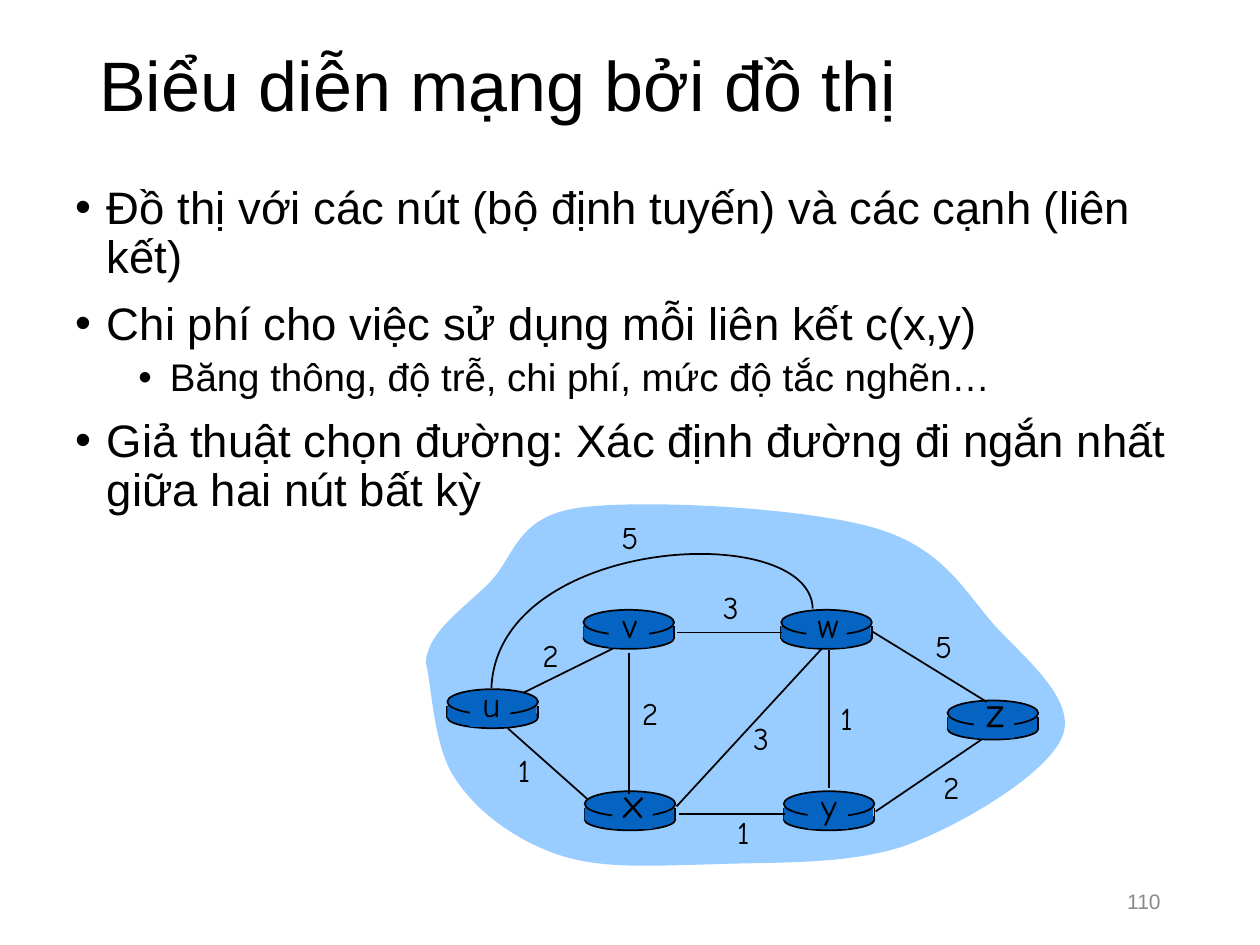
from dataclasses import dataclass

import lxml.etree
import pptx
import pptx.dml.color
import pptx.enum.shapes
import pptx.enum.text
import pptx.oxml.ns
import pptx.util

EMU_PER_PX = 9144

SHAPE = pptx.enum.shapes.MSO_SHAPE
ALIGN = pptx.enum.text.PP_ALIGN
ANCHOR = pptx.enum.text.MSO_ANCHOR
Point = tuple[int, int]


@dataclass(frozen=True)
class Theme:
    ink: str = "000000"
    muted: str = "898989"
    cloud: str = "99CCFF"
    router: str = "0563C1"
    text_font: str = "Arial"
    graph_font: str = "Comic Neue"
    title: int = 40
    bullets: tuple[int, int] = (26, 22)
    page: int = 12
    weight: int = 18
    line: int = 1


@dataclass(frozen=True)
class Bullet:
    text: str
    level: int = 0


@dataclass(frozen=True)
class Router:
    name: str
    left: int
    top: int
    name_center: int
    name_size: int = 20


@dataclass(frozen=True)
class Link:
    start: Point
    end: Point


@dataclass(frozen=True)
class Weight:
    value: int
    center: int
    top: int


THEME = Theme()
TITLE = "Biểu diễn mạng bởi đồ thị"
BULLETS = [
    Bullet("Đồ thị với các nút (bộ định tuyến) và các cạnh (liên kết)"),
    Bullet("Chi phí cho việc sử dụng mỗi liên kết c(x,y)"),
    Bullet("Băng thông, độ trễ, chi phí, mức độ tắc nghẽn…", 1),
    Bullet("Giả thuật chọn đường: Xác định đường đi ngắn nhất giữa hai nút bất kỳ"),
]
CLOUD = [
    (338, 526), (339, 502), (368, 483), (388, 463), (409, 442), (409, 410), (460, 403),
    (511, 396), (639, 403), (694, 419), (749, 435), (765, 469), (790, 497),
    (815, 524), (855, 556), (843, 585), (831, 614), (765, 654), (719, 671),
    (673, 687), (612, 684), (566, 686), (520, 687), (479, 690), (445, 679),
    (411, 668), (379, 645), (362, 619), (344, 594), (343, 546), (338, 526),
]
ARC_U_W = [(645, 483), (643, 412), (395, 425), (390, 546)]
ROUTERS = [
    Router("u", 355, 547, 390),
    Router("x", 464, 628, 503, 24),
    Router("v", 463, 484, 500),
    Router("w", 620, 484, 657),
    Router("y", 622, 628, 658),
    Router("z", 752, 556, 790, 24),
]
LINK_U_V = Link((415, 550), (494, 511))
LINKS = [
    Link((658, 516), (658, 625)),
    Link((499, 518), (499, 630)),
    Link((537, 640), (653, 514)),
    Link((695, 644), (779, 587)),
    Link((623, 646), (539, 646)),
    Link((466, 634), (403, 578)),
    Link((621, 502), (537, 502)),
    Link((783, 557), (692, 501)),
]
WEIGHTS = [
    Weight(2, 437, 500), Weight(2, 516, 546), Weight(1, 416, 591), Weight(3, 604, 566),
    Weight(1, 590, 640), Weight(1, 672, 550), Weight(2, 755, 605), Weight(5, 749, 493),
    Weight(3, 580, 462), Weight(5, 500, 406),
]


def px(length: int) -> pptx.util.Emu:
    return pptx.util.Emu(length * EMU_PER_PX)


def rgb(color: str) -> pptx.dml.color.RGBColor:
    return pptx.dml.color.RGBColor.from_string(color)


def set_font(paragraph, name: str, size: int, color: str) -> None:
    paragraph.font.name = name
    paragraph.font.size = pptx.util.Pt(size)
    paragraph.font.color.rgb = rgb(color)


def set_line(line) -> None:
    line.color.rgb = rgb(THEME.ink)
    line.width = pptx.util.Pt(THEME.line)


def add_frame(shapes, left: int, top: int, width: int, height: int, anchor=ANCHOR.TOP):
    frame = shapes.add_textbox(px(left), px(top), px(width), px(height)).text_frame
    frame.word_wrap = True
    frame.vertical_anchor = anchor
    return frame


def add_bullets(shapes, bullets: list[Bullet]) -> None:
    frame = add_frame(shapes, 50, 142, 925, 288)
    for index, bullet in enumerate(bullets):
        paragraph = frame.add_paragraph() if index else frame.paragraphs[0]
        paragraph.text = bullet.text
        paragraph.level = bullet.level
        paragraph.line_spacing = 0.9
        paragraph.space_before = pptx.util.Pt((5 if bullet.level else 10) if index else 0)
        properties = paragraph._p.get_or_add_pPr()
        properties.set("marL", str(px(25 + 50 * bullet.level)))
        properties.set("indent", str(px(-25)))
        for tag, key, value in (("a:buFont", "typeface", THEME.text_font), ("a:buChar", "char", "•")):
            lxml.etree.SubElement(properties, pptx.oxml.ns.qn(tag)).set(key, value)
        set_font(paragraph, THEME.text_font, THEME.bullets[bullet.level], THEME.ink)


def add_graph_label(shapes, text: str, center: int, top: int, height: int, size: int) -> None:
    frame = add_frame(shapes, center - 18, top, 36, height)
    frame.word_wrap = False
    frame.auto_size = pptx.enum.text.MSO_AUTO_SIZE.SHAPE_TO_FIT_TEXT
    label = frame.paragraphs[0]
    label.text = text
    label.alignment = ALIGN.CENTER
    set_font(label, THEME.graph_font, size, THEME.ink)


def add_curve(shapes, controls: list[Point], fill: str | None = None) -> None:
    builder = shapes.build_freeform(*controls[0], scale=EMU_PER_PX)
    builder.add_line_segments(controls[1:], close=fill is not None)
    curve = builder.convert_to_shape()
    segments = list(curve._element.iter(pptx.oxml.ns.qn("a:lnTo")))
    for first in range(0, len(segments), 3):
        bend, *rest = segments[first:first + 3]
        bend.tag = pptx.oxml.ns.qn("a:cubicBezTo")
        for segment in rest:
            bend.append(segment[0])
            segment.getparent().remove(segment)
    curve.shadow.inherit = False
    if fill:
        curve.fill.solid()
        curve.fill.fore_color.rgb = rgb(fill)
        curve.line.fill.background()
    else:
        curve.fill.background()
        set_line(curve.line)


def add_link(shapes, link: Link) -> None:
    connector = shapes.add_connector(
        pptx.enum.shapes.MSO_CONNECTOR.STRAIGHT, *map(px, link.start + link.end))
    set_line(connector.line)
    lxml.etree.SubElement(connector._element.spPr, pptx.oxml.ns.qn("a:effectLst"))


def add_router_part(shapes, kind, left: int, top: int, width: int, height: int) -> None:
    part = shapes.add_shape(kind, px(left), px(top), px(width), px(height))
    part.shadow.inherit = False
    part.fill.solid()
    part.fill.fore_color.rgb = rgb(THEME.router)
    if kind == SHAPE.OVAL:
        set_line(part.line)
    else:
        part.line.fill.background()


def add_router(shapes, router: Router) -> None:
    left, top = router.left, router.top
    add_router_part(shapes, SHAPE.OVAL, left, top + 14, 72, 17)
    for side in (left, left + 72):
        add_link(shapes, Link((side, top + 13), (side, top + 23)))
    add_router_part(shapes, SHAPE.RECTANGLE, left, top + 13, 71, 10)
    add_router_part(shapes, SHAPE.OVAL, left, top, 72, 20)


def add_router_name(shapes, router: Router) -> None:
    add_router_part(shapes, SHAPE.RECTANGLE, router.name_center - 17, router.top + 2, 32, 28)
    rise, height = (17, 50) if router.name_size > 20 else (10, 43)
    add_graph_label(shapes, router.name, router.name_center, router.top - rise, height, router.name_size)


def main() -> None:
    deck = pptx.Presentation()
    deck.slide_width, deck.slide_height = px(1000), px(750)
    slide = deck.slides.add_slide(deck.slide_layouts[6])

    title = add_frame(slide.shapes, 69, 0, 862, 141, ANCHOR.MIDDLE).paragraphs[0]
    title.text = TITLE
    title.line_spacing = 0.9
    set_font(title, THEME.text_font, THEME.title, THEME.ink)
    add_bullets(slide.shapes, BULLETS)
    page = add_frame(slide.shapes, 706, 695, 225, 40, ANCHOR.MIDDLE).paragraphs[0]
    page.text = "110"
    page.alignment = ALIGN.RIGHT
    set_font(page, THEME.text_font, THEME.page, THEME.muted)

    graph = slide.shapes.add_group_shape().shapes
    add_curve(graph, CLOUD, THEME.cloud)
    add_link(graph, LINK_U_V)
    for router in ROUTERS:
        add_router(graph, router)
    for link in LINKS:
        add_link(graph, link)
    add_curve(graph, ARC_U_W)
    for router in ROUTERS:
        add_router_name(graph, router)
    for weight in WEIGHTS:
        add_graph_label(graph, str(weight.value), weight.center, weight.top, 40, THEME.weight)
    deck.save("out.pptx")


if __name__ == "__main__":
    main()
